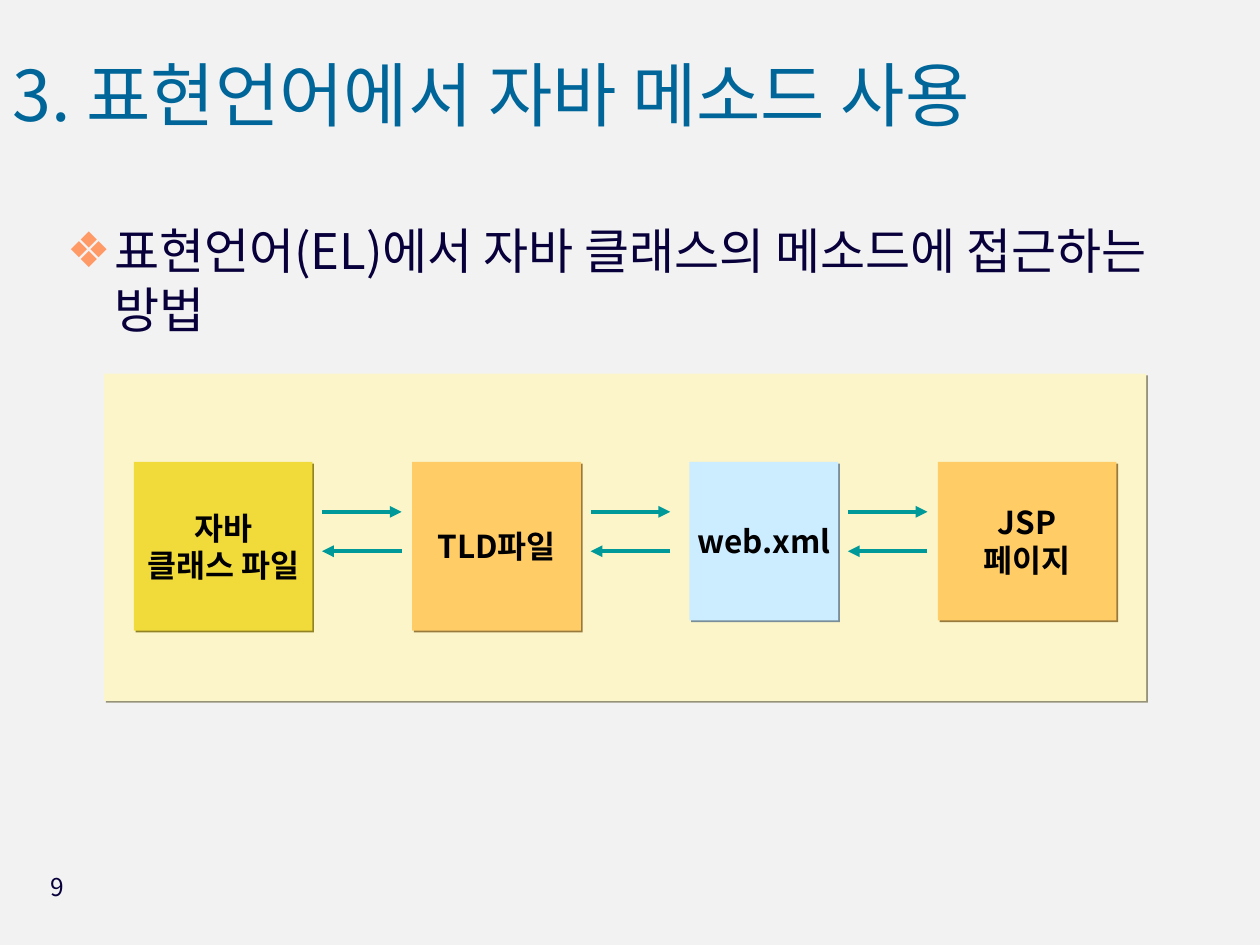
from lxml import etree
from pptx import Presentation
from pptx import util as u
from pptx.dml.color import RGBColor
from pptx.enum import shapes, text
from pptx.oxml import ns


def color(value):
    return RGBColor.from_string(value)


def add_xml(parent, tag, **attributes):
    return etree.SubElement(parent, ns.qn(tag), attributes)


class SlideBuilder:
    FONT = "Noto Sans CJK KR"
    INK = "08003A"
    TITLE = "006699"
    ARROW = "009999"
    LABEL = "010000"

    def __init__(self, slide):
        self.slide = slide
        slide.background.fill.solid()
        slide.background.fill.fore_color.rgb = color("F2F2F2")
        self.diagram = None

    def style(self, paragraph, size, ink, bold=False, align=text.PP_ALIGN.LEFT):
        paragraph.alignment = align
        font = paragraph.font
        font.name, font.size, font.bold = self.FONT, u.Pt(size), bold
        font.color.rgb = color(ink)
        add_xml(paragraph._p.pPr.find(ns.qn("a:defRPr")), "a:ea", typeface=self.FONT)

    def fill_frame(self, shape, words, anchor, wrap=True):
        frame = shape.text_frame
        frame.text = words
        frame.word_wrap = wrap
        frame.auto_size = text.MSO_AUTO_SIZE.NONE
        frame.vertical_anchor = anchor
        return frame.paragraphs

    def place(self, shape, left, top, width, height):
        shape.left, shape.top = u.Pt(left), u.Pt(top)
        shape.width, shape.height = u.Pt(width), u.Pt(height)

    def title(self, words, *bounds):
        shape = self.slide.shapes.title
        self.place(shape, *bounds)
        paragraph = self.fill_frame(shape, words, text.MSO_ANCHOR.MIDDLE)[0]
        paragraph.line_spacing = 0.7
        self.style(paragraph, 40, self.TITLE)

    def bullet(self, words, *bounds):
        shape = self.slide.placeholders[1]
        self.place(shape, *bounds)
        paragraph = self.fill_frame(shape, words, text.MSO_ANCHOR.TOP)[0]
        paragraph.space_before = u.Pt(0)
        properties = paragraph._p.get_or_add_pPr()
        properties.set("marL", str(u.Pt(27)))
        properties.set("indent", str(u.Pt(-27)))
        add_xml(add_xml(properties, "a:buClr"), "a:srgbClr", val="FF9966")
        add_xml(properties, "a:buChar", char="❖")
        self.style(paragraph, 28, self.INK)

    def start_diagram(self):
        self.diagram = self.slide.shapes.add_group_shape().shapes

    def block(self, fill, shade, left, top, width, height, words=None):
        shape = self.diagram.add_shape(
            shapes.MSO_SHAPE.RECTANGLE, *map(u.Pt, (left, top, width, height)))
        shape.fill.solid()
        shape.fill.fore_color.rgb = color(fill)
        shape.line.fill.background()
        # Hard shadow towards the lower right
        shape.shadow.inherit = False
        effects = shape._element.spPr.find(ns.qn("a:effectLst"))
        shadow = add_xml(effects, "a:outerShdw", dist=str(u.Pt(1.4)),
                         dir="2700000", algn="ctr", rotWithShape="0")
        add_xml(shadow, "a:srgbClr", val=shade)
        if words:
            for paragraph in self.fill_frame(shape, words, text.MSO_ANCHOR.MIDDLE, False):
                self.style(paragraph, 18, self.LABEL, True, text.PP_ALIGN.CENTER)

    def arrow(self, start, end, y):
        line = self.diagram.add_connector(
            shapes.MSO_CONNECTOR.STRAIGHT, *map(u.Pt, (start, y, end, y)))
        line.line.color.rgb = color(self.ARROW)
        line.line.width = u.Pt(2.25)
        add_xml(line.line._get_or_add_ln(), "a:tailEnd", type="triangle")
        add_xml(line._element.spPr, "a:effectLst")

    def page_number(self, words, *bounds):
        shape = self.slide.shapes.add_textbox(*map(u.Pt, bounds))
        paragraph = self.fill_frame(shape, words, text.MSO_ANCHOR.TOP)[0]
        self.style(paragraph, 14, self.INK, align=text.PP_ALIGN.RIGHT)


def main():
    presentation = Presentation()
    presentation.slide_width, presentation.slide_height = u.Pt(720), u.Pt(540)
    builder = SlideBuilder(presentation.slides.add_slide(presentation.slide_layouts[1]))

    # Heading and introduction
    builder.title("3. 표현언어에서 자바 메소드 사용", 0, 20, 666, 79)
    builder.bullet("표현언어(EL)에서 자바 클래스의 메소드에 접근하는 방법", 31, 122.5, 663, 85)

    # Diagram: panel, then file blocks
    builder.start_diagram()
    builder.block("FBF5C9", "979379", 59.5, 213.5, 595.5, 187)
    blocks = [
        ("자바\n클래스 파일", "F1DB3B", "918323", 76.5, 102, 96.5),
        ("TLD파일", "FFCC66", "997A3D", 235.5, 96.5, 96.5),
        ("web.xml", "CCECFF", "7A8E99", 394, 85, 90.5),
        ("JSP\n페이지", "FFCC66", "997A3D", 536, 102, 90.5),
    ]
    for words, fill, shade, left, width, height in blocks:
        builder.block(fill, shade, left, 264, width, height, words)

    # A pair of arrows after every block but the last
    for *_, left, width, _ in blocks[:-1]:
        start = left + width + 5.5
        end = start + 45.5
        builder.arrow(start, end, 292.5)
        builder.arrow(end, start, 315)

    builder.page_number("9", 10, 494.5, 34, 37.5)
    presentation.save("out.pptx")


if __name__ == "__main__":
    main()
